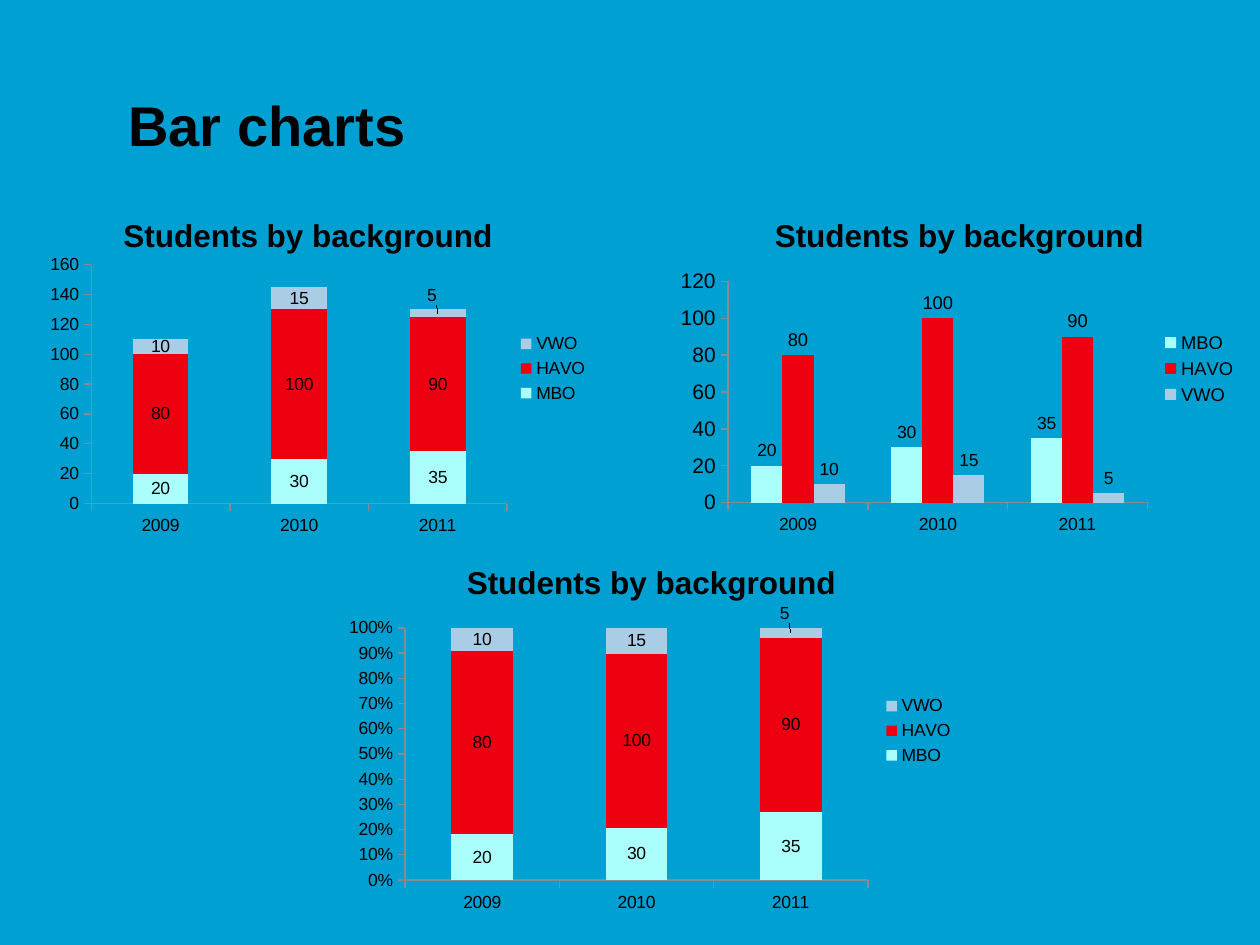
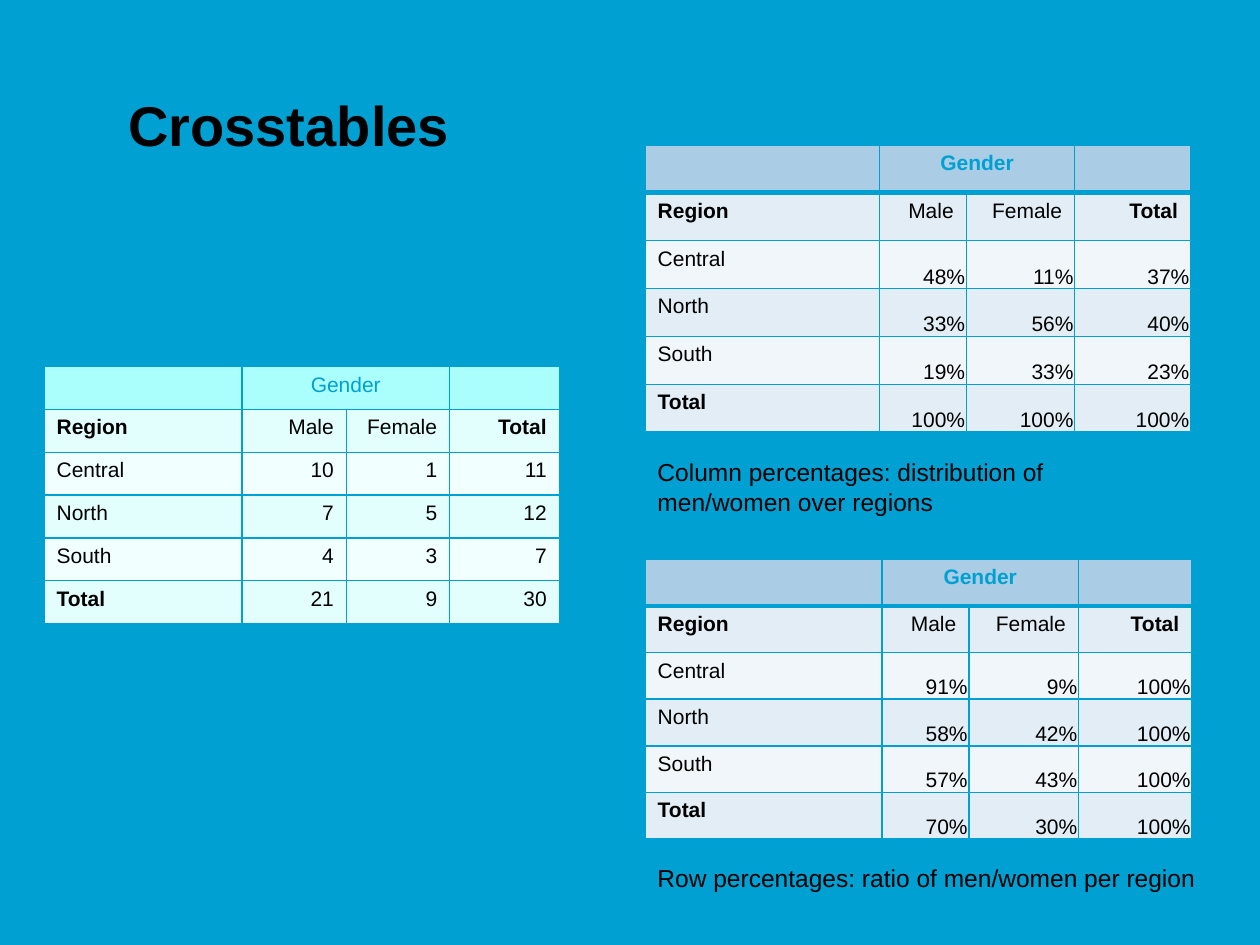
from lxml.etree import SubElement
from pptx import Presentation
from pptx.chart.data import CategoryChartData
from pptx.dml.color import RGBColor
from pptx.enum.chart import XL_CHART_TYPE, XL_LABEL_POSITION, XL_LEGEND_POSITION, XL_TICK_MARK
from pptx.enum.text import MSO_ANCHOR, PP_ALIGN
from pptx.oxml import parse_xml
from pptx.oxml.ns import nsdecls, qn
from pptx.util import Inches, Pt

BLUE, BLACK, GREY = "00A0D2", "000000", "8B8B8B"
AQUA, RED, PALE = "AAFFFD", "ED0010", "AACDE5"
AQUA_BANDS = ("E2FFFE", "F1FFFF")
PALE_BANDS = ("E2EDF5", "F1F6FA")
FONT = "Arial"

YEARS = ["2009", "2010", "2011"]
STUDENTS = [
    ("MBO", [20, 30, 35], AQUA),
    ("HAVO", [80, 100, 90], RED),
    ("VWO", [10, 15, 5], PALE),
]
REGIONS = ["Central", "North", "South", "Total"]
COUNTS = [[10, 1, 11], [7, 5, 12], [4, 3, 7], [21, 9, 30]]
COLUMN_SHARES = [[48, 11, 37], [33, 56, 40], [19, 33, 23], [100, 100, 100]]
ROW_SHARES = [[91, 9, 100], [58, 42, 100], [57, 43, 100], [70, 30, 100]]


def rgb(hex_color):
    return RGBColor.from_string(hex_color)


def set_font(font, size, color=BLACK, bold=False):
    font.name, font.size, font.bold = FONT, Pt(size), bold
    font.color.rgb = rgb(color)


def set_borders(cell, top, bottom):
    """Draw blue borders; top and bottom are widths in points."""
    tc_pr = cell._tc.get_or_add_tcPr()
    widths = (("lnL", 1), ("lnR", 1), ("lnT", top), ("lnB", bottom))
    for i, (tag, width) in enumerate(widths):
        tc_pr.insert(i, parse_xml(
            f'<a:{tag} {nsdecls("a")} w="{Pt(width)}"><a:solidFill>'
            f'<a:srgbClr val="{BLUE}"/></a:solidFill></a:{tag}>'))


def shift_label(series, index, size, dx, dy):
    """Move one data label by fractions of the chart's width and height."""
    label = series.points[index].data_label
    set_font(label.font, size)
    label.position = XL_LABEL_POSITION.CENTER
    idx = series._element.xpath("c:dLbls/c:dLbl/c:idx")[0]
    idx.addnext(parse_xml(
        f'<c:layout {nsdecls("c")}><c:manualLayout>'
        f'<c:x val="{dx}"/><c:y val="{dy}"/></c:manualLayout></c:layout>'))


def set_plot_area(chart, x, y, w, h):
    """Place the inner plot area by fractions of the chart."""
    plot_area = chart._chartSpace.xpath("c:chart/c:plotArea")[0]
    for old in plot_area.findall(qn("c:layout")):
        plot_area.remove(old)
    plot_area.insert(0, parse_xml(
        f'<c:layout {nsdecls("c")}><c:manualLayout><c:layoutTarget val="inner"/>'
        f'<c:xMode val="edge"/><c:yMode val="edge"/><c:x val="{x}"/><c:y val="{y}"/>'
        f'<c:w val="{w}"/><c:h val="{h}"/></c:manualLayout></c:layout>'))


class Deck:
    def __init__(self):
        self.prs = Presentation()
        self.prs.slide_width, self.prs.slide_height = Inches(10), Inches(7.5)
        fill = self.prs.slide_master.background.fill
        fill.solid()
        fill.fore_color.rgb = rgb(BLUE)

    def new_slide(self, title):
        self.s = self.prs.slides.add_slide(self.prs.slide_layouts[6])
        self.text(title, 0.92, 0.67, 6.75, 0.63, 32, True, MSO_ANCHOR.BOTTOM)

    def text(self, text, x, y, w, h, size=14, bold=False, anchor=MSO_ANCHOR.TOP):
        sp = self.s.shapes.add_textbox(Inches(x), Inches(y), Inches(w), Inches(h))
        tf = sp.text_frame
        tf.word_wrap, tf.vertical_anchor = True, anchor
        tf.text = text
        set_font(tf.paragraphs[0].runs[0].font, size, BLACK, bold)

    def chart(self, kind, x, y, w, h, value_size=10, legend_size=10, label_sizes=(10, 10, 10)):
        data = CategoryChartData()
        data.categories = YEARS
        for name, values, _ in STUDENTS:
            data.add_series(name, values)
        frame = self.s.shapes.add_chart(kind, Inches(x), Inches(y), Inches(w), Inches(h), data)
        chart = frame.chart
        set_font(chart.font, 10)

        chart.has_title = True
        tf = chart.chart_title.text_frame
        tf.text = "Students by background"
        set_font(tf.paragraphs[0].runs[0].font, 18, BLACK, True)
        chart.chart_title.include_in_layout = False

        chart.has_legend = True
        chart.legend.position = XL_LEGEND_POSITION.RIGHT
        chart.legend.include_in_layout = False
        set_font(chart.legend.font, legend_size)

        for axis, size in ((chart.category_axis, 10), (chart.value_axis, value_size)):
            axis.has_major_gridlines = False
            axis.major_tick_mark = XL_TICK_MARK.OUTSIDE
            axis.minor_tick_mark = XL_TICK_MARK.NONE
            axis.format.line.color.rgb = rgb(GREY)
            axis.format.line.width = Pt(0.75)
            set_font(axis.tick_labels.font, size)

        plot = chart.plots[0]
        plot.vary_by_categories = False
        plot.gap_width = 150
        clustered = kind == XL_CHART_TYPE.COLUMN_CLUSTERED
        plot.overlap = 0 if clustered else 100
        position = XL_LABEL_POSITION.OUTSIDE_END if clustered else XL_LABEL_POSITION.CENTER
        for series, (_, _, color), size in zip(plot.series, STUDENTS, label_sizes):
            series.format.fill.solid()
            series.format.fill.fore_color.rgb = rgb(color)
            labels = series.data_labels
            labels.show_value = True
            labels.position = position
            set_font(labels.font, size)
        return chart

    def crosstable(self, x, y, cols, row_height, values, head, bands, suffix="", head_line=1):
        """Draw a region by gender table; a suffix sets the values tight in the corner."""
        rows = [["", "Gender", "", ""], ["Region", "Male", "Female", "Total"]]
        rows += [[region] + [f"{v}{suffix}" for v in line] for region, line in zip(REGIONS, values)]
        table = self.s.shapes.add_table(len(rows), len(cols), Inches(x), Inches(y),
                                        Inches(sum(cols)), Inches(row_height * len(rows))).table
        table.first_row = table.horz_banding = False
        for column, width in zip(table.columns, cols):
            column.width = Inches(width)
        for r, texts in enumerate(rows):
            table.rows[r].height = Inches(row_height)
            for c, text in enumerate(texts):
                cell = table.cell(r, c)
                cell.fill.solid()
                cell.fill.fore_color.rgb = rgb(bands[(r + 1) % 2] if r else head)
                set_borders(cell, head_line if r == 1 else 1, head_line if r == 0 else 1)
                p = cell.text_frame.paragraphs[0]
                if not text:
                    SubElement(p._p, qn("a:endParaRPr"), sz="1200")
                    continue
                p.text = text
                font = p.runs[0].font
                if r == 0:
                    p.alignment = PP_ALIGN.CENTER
                    set_font(font, 12, BLUE, bool(suffix))
                    continue
                set_font(font, 12, BLACK, text in ("Region", "Total"))
                if c:
                    p.alignment = PP_ALIGN.RIGHT
                    if suffix and r > 1:
                        cell.vertical_anchor = MSO_ANCHOR.BOTTOM
                        cell.margin_left = cell.margin_right = cell.margin_top = Inches(0.01)
                        cell.margin_bottom = 0
        table.cell(0, 1).merge(table.cell(0, 2))


def bar_charts(deck):
    deck.new_slide("Bar charts")
    deck.chart(XL_CHART_TYPE.COLUMN_CLUSTERED, 5.31, 1.55, 4.61, 2.75,
               value_size=12, legend_size=10.5, label_sizes=(10, 10.5, 10))

    stacked = deck.chart(XL_CHART_TYPE.COLUMN_STACKED, 0.12, 1.55, 4.65, 2.75)
    set_plot_area(stacked, 0.13, 0.2, 0.71, 0.69)
    shares = deck.chart(XL_CHART_TYPE.COLUMN_STACKED_100, 2.67, 4.3, 5, 3)
    shares.value_axis.major_unit = 0.1
    shares.value_axis.tick_labels.number_format = "0%"
    shares.value_axis.tick_labels.number_format_is_linked = False
    for chart in (stacked, shares):
        shift_label(chart.plots[0].series[2], 2, 10, -0.01, -0.05)


def crosstables(deck):
    deck.new_slide("Crosstables")
    deck.crosstable(0.35, 2.91, (1.57, 0.83, 0.82, 0.87), 0.34, COUNTS, AQUA, AQUA_BANDS)
    deck.crosstable(5.12, 4.44, (1.88, 0.69, 0.87, 0.9), 0.37, ROW_SHARES,
                    PALE, PALE_BANDS, "%", 3)
    deck.crosstable(5.12, 1.15, (1.86, 0.69, 0.86, 0.92), 0.38, COLUMN_SHARES,
                    PALE, PALE_BANDS, "%", 3)
    deck.text("Column percentages: distribution of men/women over regions", 5.12, 3.58, 4.33, 0.57)
    deck.text("Row percentages: ratio of men/women per region", 5.12, 6.8, 4.8, 0.34)


def main():
    deck = Deck()
    bar_charts(deck)
    crosstables(deck)
    deck.prs.save("out.pptx")


if __name__ == "__main__":
    main()
